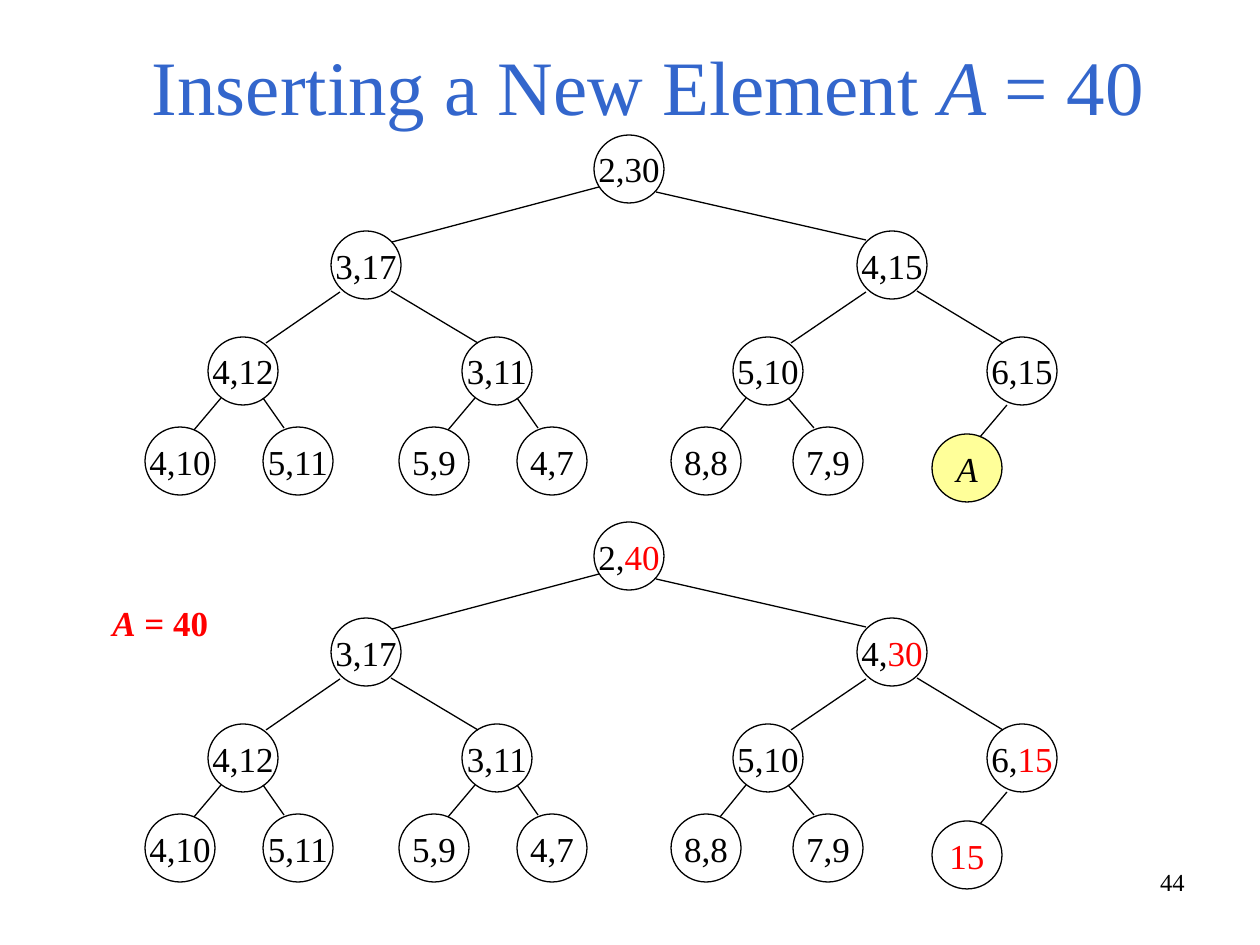
from dataclasses import dataclass
from typing import NamedTuple

from lxml.etree import SubElement
from pptx import Presentation
from pptx.dml.color import RGBColor as Rgb
from pptx.enum.shapes import MSO_CONNECTOR as Connector, MSO_SHAPE as Preset
from pptx.enum.text import MSO_ANCHOR as Anchor, MSO_AUTO_SIZE as AutoSize, PP_ALIGN as Align
from pptx.oxml.ns import qn
from pptx.util import Pt

EMU_PER_PX = 914400 / 126


@dataclass(frozen=True)
class Theme:
    font: str = "Times New Roman"
    title: Rgb = Rgb(0x33, 0x66, 0xCC)
    ink: Rgb = Rgb(0, 0, 0)
    changed: Rgb = Rgb(0xFF, 0, 0)
    inserted: Rgb = Rgb(0xFF, 0xFF, 0x99)
    title_size: int = 44
    label_size: int = 20
    number_size: int = 14
    stroke: float = 0.75


class Point(NamedTuple):
    x: int
    y: int

    def plus(self, other: "Point") -> "Point":
        return Point(self.x + other.x, self.y + other.y)


class Piece(NamedTuple):
    text: str
    color: Rgb
    italic: bool = False
    bold: bool = False


class Joint(NamedTuple):
    at_parent: Point
    at_child: Point


@dataclass(frozen=True)
class Node:
    center: Point
    pieces: list[Piece]
    fill: Rgb | None = None


THEME = Theme()
NODE_WIDTH, NODE_HEIGHT = 70, 68
LOWER_TREE = Point(0, 387)

CENTERS = [
    Point(x, y)
    for y, columns in (
        (169, [629]),
        (265, [366, 892]),
        (371, [243, 497, 768, 1022]),
        (461, [180, 298, 434, 552, 706, 828]),
        (468, [967]),
    )
    for x in columns
]

JOINTS = [
    (Joint(Point(-30, 18), Point(26, -23)), Joint(Point(27, 23), Point(-26, -25))),
    (Joint(Point(-26, 27), Point(23, -28)), Joint(Point(25, 26), Point(-19, -28))),
    (Joint(Point(-22, 27), Point(14, -31)), Joint(Point(20, 27), Point(-14, -33))),
]
LAST_JOINT = Joint(Point(-15, 34), Point(13, -31))

INTERVALS = ["2,30", "3,17", "4,15", "4,12", "3,11", "5,10", "6,15",
             "4,10", "5,11", "5,9", "4,7", "8,8", "7,9"]
UPDATES = {0: ("2,", "40"), 2: ("4,", "30"), 6: ("6,", "15")}


def px(length: int) -> int:
    return round(length * EMU_PER_PX)


def write(paragraph, pieces: list[Piece], size: int) -> None:
    for piece in pieces:
        run = paragraph.add_run()
        run.text = piece.text
        run.font.name = THEME.font
        run.font.size = Pt(size)
        run.font.color.rgb = piece.color
        run.font.italic = piece.italic
        run.font.bold = piece.bold


def draw_node(slide, node: Node) -> None:
    circle = slide.shapes.add_shape(
        Preset.OVAL, px(node.center.x - NODE_WIDTH // 2), px(node.center.y - NODE_HEIGHT // 2),
        px(NODE_WIDTH), px(NODE_HEIGHT))
    circle.shadow.inherit = False
    if node.fill is None:
        circle.fill.background()
    else:
        circle.fill.solid()
        circle.fill.fore_color.rgb = node.fill
    circle.line.color.rgb = THEME.ink
    circle.line.width = Pt(THEME.stroke)
    frame = circle.text_frame
    frame.word_wrap = False
    frame.vertical_anchor = Anchor.MIDDLE
    frame.paragraphs[0].alignment = Align.CENTER
    write(frame.paragraphs[0], node.pieces, THEME.label_size)


def draw_edge(slide, start: Point, end: Point) -> None:
    edge = slide.shapes.add_connector(
        Connector.STRAIGHT, px(start.x), px(start.y), px(end.x), px(end.y))
    edge.line.color.rgb = THEME.ink
    edge.line.width = Pt(THEME.stroke)
    SubElement(edge._element.spPr, qn("a:effectLst"))


def draw_tree(slide, nodes: list[Node]) -> None:
    for index, node in enumerate(nodes):
        draw_node(slide, node)
        if index == 0:
            continue
        parent = nodes[(index - 1) // 2]
        parent_depth = (index + 1).bit_length() - 2
        is_right = index % 2 == 0
        joint = LAST_JOINT if index == len(CENTERS) - 1 else JOINTS[parent_depth][is_right]
        draw_edge(slide, parent.center.plus(joint.at_parent), node.center.plus(joint.at_child))


def draw_text(slide, left: int, top: int, width: int, height: int,
              pieces: list[Piece], size: int, align: Align) -> None:
    box = slide.shapes.add_textbox(px(left), px(top), px(width), px(height))
    box.text_frame.word_wrap = True
    box.text_frame.paragraphs[0].alignment = align
    write(box.text_frame.paragraphs[0], pieces, size)


def draw_title(slide) -> None:
    title = slide.shapes.title
    title.left, title.top, title.width, title.height = px(94), px(44), px(1108), px(93)
    frame = title.text_frame
    frame.word_wrap = True
    frame.auto_size = AutoSize.NONE
    frame.vertical_anchor = Anchor.BOTTOM
    frame.paragraphs[0].alignment = Align.CENTER
    write(frame.paragraphs[0], [
        Piece("Inserting a New Element ", THEME.title),
        Piece("A ", THEME.title, italic=True),
        Piece("= 40", THEME.title),
    ], THEME.title_size)


def main() -> None:
    deck = Presentation()
    deck.slide_width, deck.slide_height = px(1260), px(945)
    slide = deck.slides.add_slide(deck.slide_layouts[5])
    draw_title(slide)

    before = [Node(center, [Piece(interval, THEME.ink)])
              for center, interval in zip(CENTERS, INTERVALS)]
    before.append(Node(CENTERS[-1], [Piece("A", THEME.ink, italic=True)], THEME.inserted))
    draw_tree(slide, before)

    after = []
    for index, (center, interval) in enumerate(zip(CENTERS, INTERVALS)):
        kept, changed = UPDATES.get(index, (interval, ""))
        pieces = [Piece(kept, THEME.ink)]
        if changed:
            pieces.append(Piece(changed, THEME.changed))
        after.append(Node(center.plus(LOWER_TREE), pieces))
    after.append(Node(CENTERS[-1].plus(LOWER_TREE), [Piece("15", THEME.changed)]))
    draw_tree(slide, after)

    draw_text(slide, 100, 595, 129, 55, [
        Piece("A", THEME.changed, italic=True, bold=True),
        Piece(" = 40", THEME.changed, bold=True),
    ], THEME.label_size, Align.LEFT)
    draw_text(slide, 903, 861, 294, 66, [Piece("44", THEME.ink)], THEME.number_size, Align.RIGHT)
    deck.save("out.pptx")


if __name__ == "__main__":
    main()
